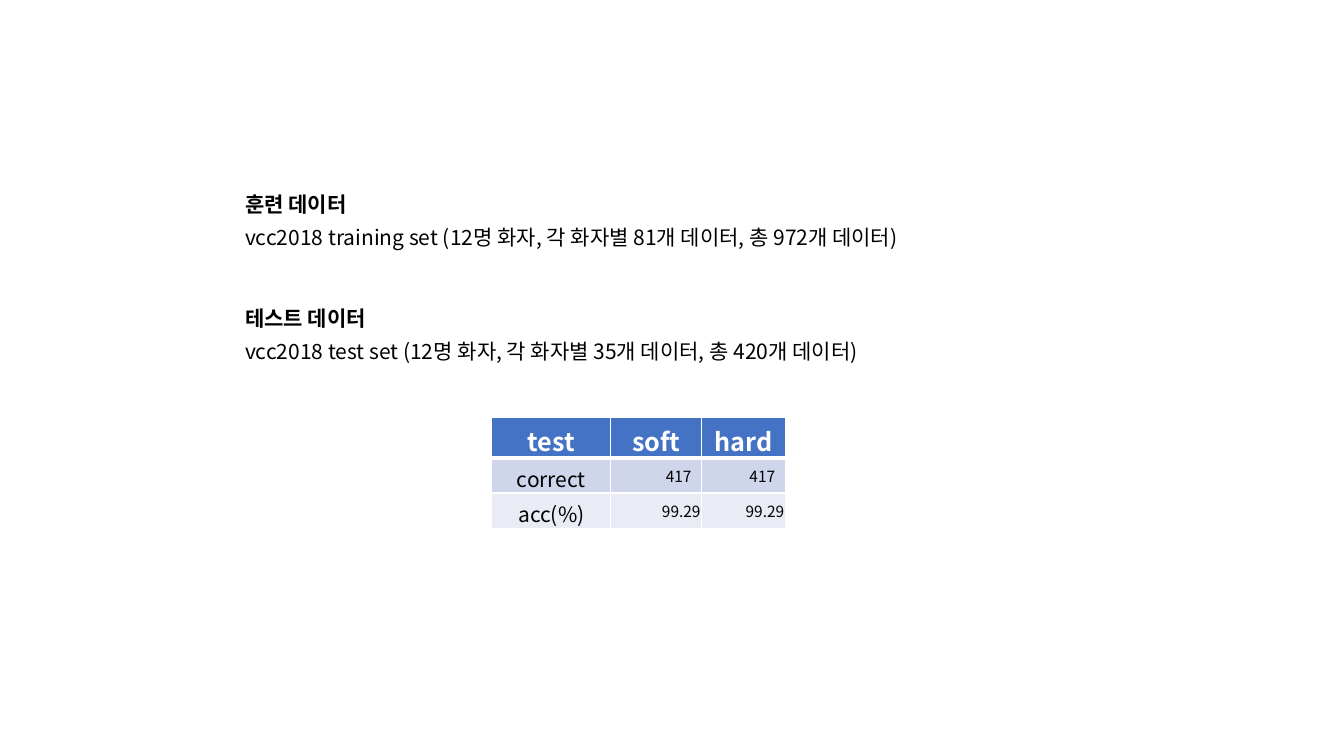
from dataclasses import dataclass

from lxml.etree import SubElement
from pptx import Presentation
from pptx.dml.color import RGBColor
from pptx.enum.text import MSO_ANCHOR as Anchor, MSO_AUTO_SIZE as AutoSize, PP_ALIGN as Align
from pptx.oxml.ns import qn
from pptx.slide import Slide
from pptx.table import _Cell as Cell
from pptx.text.text import _Paragraph as Paragraph
from pptx.util import Emu, Inches, Pt

SLIDE_WIDTH = Inches(13.33)
SLIDE_HEIGHT = Inches(7.5)


@dataclass(frozen=True)
class Theme:
    font: str = "Noto Sans CJK KR"
    ink: str = "000000"
    white: str = "FFFFFF"
    header: str = "4472C4"
    bands: tuple[str, str] = ("CFD5EA", "E9EBF5")
    header_size: int = 18
    body_size: int = 15
    value_size: int = 11
    thin: int = 1
    thick: int = 3


@dataclass(frozen=True)
class DataSet:
    top: float
    heading: str
    detail: str


THEME = Theme()
DATA_SETS = (
    DataSet(23.7, "훈련 데이터", "vcc2018 training set (12명 화자, 각 화자별 81개 데이터, 총 972개 데이터)"),
    DataSet(38.8, "테스트 데이터", "vcc2018 test set (12명 화자, 각 화자별 35개 데이터, 총 420개 데이터)"),
)
RESULTS = (
    ("test", "soft", "hard"),
    ("correct", "417", "417"),
    ("acc(%)", "99.29", "99.29"),
)
COLUMN_SHARES = (8.85, 6.75, 6.23)
ROW_SHARES = (5.33, 4.67, 4.67)


def across(percent: float) -> Emu:
    return Emu(round(SLIDE_WIDTH * percent / 100))


def down(percent: float) -> Emu:
    return Emu(round(SLIDE_HEIGHT * percent / 100))


def write(paragraph: Paragraph, text: str, size: int, color: str, bold: bool) -> None:
    run = paragraph.add_run()
    run.text = text
    for font in (paragraph.font, run.font):
        font.name = THEME.font
        font.size = Pt(size)
        font.bold = bold
        font.color.rgb = RGBColor.from_string(color)
    SubElement(run.font._element, qn("a:ea"), typeface=THEME.font)


def add_data_set(slide: Slide, data_set: DataSet) -> None:
    box = slide.shapes.add_textbox(across(17.5), down(data_set.top), across(79.5), down(9.6))
    frame = box.text_frame
    frame.word_wrap = True
    frame.auto_size = AutoSize.SHAPE_TO_FIT_TEXT
    heading, detail = frame.paragraphs[0], frame.add_paragraph()
    write(heading, data_set.heading, THEME.body_size, THEME.ink, True)
    write(detail, data_set.detail, THEME.body_size, THEME.ink, False)
    for paragraph in (heading, detail):
        paragraph.line_spacing = 1.3


def add_border(cell: Cell, side: str, width: int) -> None:
    properties = cell._tc.get_or_add_tcPr()
    line = SubElement(properties, qn(f"a:{side}"), w=str(Pt(width)))
    fill = SubElement(line, qn("a:solidFill"))
    SubElement(fill, qn("a:srgbClr"), val=THEME.white)


def style_cell(cell: Cell, row: int, column: int, text: str) -> None:
    is_header = row == 0
    is_value = row > 0 and column > 0
    for side in ("lnL", "lnR", "lnT", "lnB"):
        under_header = (row, side) in ((0, "lnB"), (1, "lnT"))
        add_border(cell, side, THEME.thick if under_header else THEME.thin)
    cell.fill.solid()
    fill_color = THEME.header if is_header else THEME.bands[row - 1]
    cell.fill.fore_color.rgb = RGBColor.from_string(fill_color)
    cell.vertical_anchor = Anchor.MIDDLE
    if is_value and row == 2:
        cell.margin_left = cell.margin_right = cell.margin_top = Inches(0.01)
        cell.margin_bottom = 0
    paragraph = cell.text_frame.paragraphs[0]
    paragraph.alignment = Align.RIGHT if is_value else Align.CENTER
    body_size = THEME.value_size if is_value else THEME.body_size
    write(
        paragraph,
        text,
        THEME.header_size if is_header else body_size,
        THEME.white if is_header else THEME.ink,
        is_header,
    )


def add_results(slide: Slide) -> None:
    table = slide.shapes.add_table(
        len(ROW_SHARES),
        len(COLUMN_SHARES),
        across(36.6),
        down(55.2),
        across(sum(COLUMN_SHARES)),
        down(sum(ROW_SHARES)),
    ).table
    for column, share in zip(table.columns, COLUMN_SHARES):
        column.width = across(share)
    for row, share in zip(table.rows, ROW_SHARES):
        row.height = down(share)
    for row_index, texts in enumerate(RESULTS):
        for column_index, text in enumerate(texts):
            style_cell(table.cell(row_index, column_index), row_index, column_index, text)


def main() -> None:
    presentation = Presentation()
    presentation.slide_width = SLIDE_WIDTH
    presentation.slide_height = SLIDE_HEIGHT
    slide = presentation.slides.add_slide(presentation.slide_layouts[6])
    training, test = DATA_SETS
    add_data_set(slide, training)
    add_results(slide)
    add_data_set(slide, test)
    presentation.save("out.pptx")


if __name__ == "__main__":
    main()
